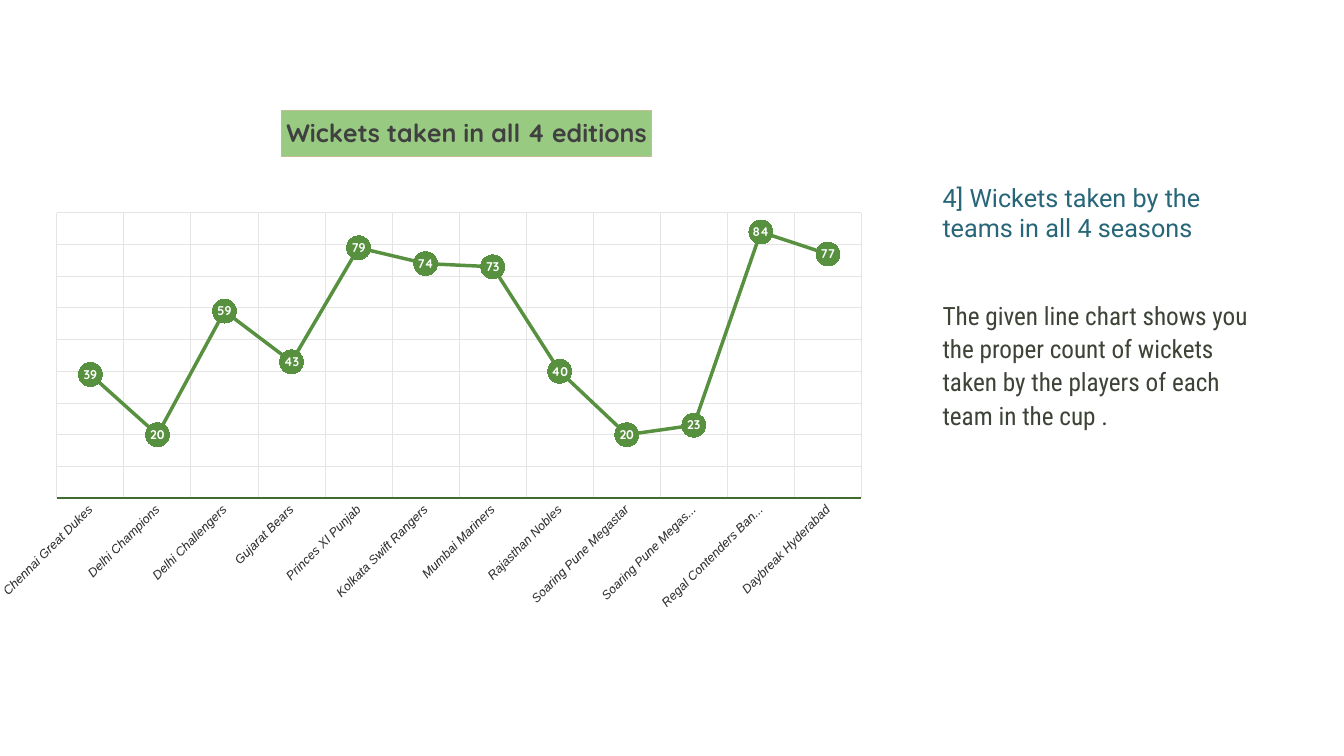
from lxml.etree import SubElement
from pptx import Presentation
from pptx.chart.data import CategoryChartData
from pptx.dml.color import RGBColor
from pptx.enum.chart import XL_CHART_TYPE as ChartType
from pptx.enum.chart import XL_LABEL_POSITION as LabelPosition
from pptx.enum.chart import XL_MARKER_STYLE as MarkerStyle
from pptx.enum.chart import XL_TICK_MARK as TickMark
from pptx.enum.text import MSO_ANCHOR as Anchor
from pptx.oxml.ns import qn
from pptx.util import Inches, Pt

WHITE = RGBColor(0xFF, 0xFF, 0xFF)
BLACK = RGBColor(0x00, 0x00, 0x00)
CHARCOAL = RGBColor(0x40, 0x40, 0x40)
OLIVE = RGBColor(0x3D, 0x43, 0x37)
TEAL = RGBColor(0x27, 0x66, 0x78)
GREEN = RGBColor(0x57, 0x90, 0x3F)
DARK_GREEN = RGBColor(0x41, 0x6C, 0x2F)
LIGHT_GREEN = RGBColor(0x98, 0xCA, 0x82)
BORDER = RGBColor(0xC4, 0xBC, 0x94)
GRID = RGBColor(0xE4, 0xE4, 0xE4)

WICKETS = {
    "Chennai Great Dukes": 39,
    "Delhi Champions": 20,
    "Delhi Challengers": 59,
    "Gujarat Bears": 43,
    "Princes XI Punjab": 79,
    "Kolkata Swift Rangers": 74,
    "Mumbai Mariners": 73,
    "Rajasthan Nobles": 40,
    "Soaring Pune Megastar": 20,
    "Soaring Pune Megastars": 23,
    "Regal Contenders Bangalore": 84,
    "Daybreak Hyderabad": 77,
}


class SlideBuilder:
    heading_font = "Roboto"
    body_font = "Roboto Condensed"
    chart_font = "Quicksand"
    axis_font = "Arial"

    def __init__(self, presentation):
        self.slide = presentation.slides.add_slide(presentation.slide_layouts[6])

    def apply(self, target, values):
        for name, value in values.items():
            setattr(target, name, value)

    def style_font(self, font, name, size, color, **extra):
        self.apply(font, {"name": name, "size": Pt(size), **extra})
        font.color.rgb = color

    def style_line(self, line, color, width):
        line.color.rgb = color
        line.width = Pt(width)

    def place(self, parent, index, **values):
        for old_layout in parent.findall(qn("c:layout")):
            parent.remove(old_layout)
        layout = SubElement(parent, qn("c:layout"))
        parent.insert(index, layout)
        manual = SubElement(layout, qn("c:manualLayout"))
        for name, value in values.items():
            SubElement(manual, qn(f"c:{name}")).set("val", str(value))

    def text(self, content, box, font, color, anchor, spacing):
        shape = self.slide.shapes.add_textbox(*map(Inches, box))
        frame = shape.text_frame
        self.apply(frame, {"word_wrap": True, "vertical_anchor": anchor})
        paragraph = frame.paragraphs[0]
        self.apply(paragraph, spacing)
        run = paragraph.add_run()
        run.text = content
        self.style_font(run.font, font, 18, color)

    def line_chart(self, title, values, box):
        data = CategoryChartData()
        data.categories = list(values)
        data.add_series("Series 1", list(values.values()))
        chart = self.slide.shapes.add_chart(
            ChartType.LINE_MARKERS, *map(Inches, box), data
        ).chart
        chart.has_legend = False
        self.style_font(chart.font, self.chart_font, 10, BLACK)
        self.place(
            chart.plots[0]._element.getparent(), 0, layoutTarget="inner",
            xMode="edge", yMode="edge", x=0.06, y=0.23, w=0.93, h=0.555,
        )
        self.chart_title(chart, title)
        self.axes(chart)
        self.series(chart.plots[0].series[0])

    def chart_title(self, chart, content):
        chart.has_title = True
        title = chart.chart_title
        run = title.text_frame.paragraphs[0].add_run()
        run.text = content
        self.style_font(run.font, self.chart_font, 18, CHARCOAL, bold=True)
        title.format.fill.solid()
        title.format.fill.fore_color.rgb = LIGHT_GREEN
        self.style_line(title.format.line, BORDER, 0.75)
        self.place(title._element, 1, xMode="edge", yMode="edge", x=0.32, y=0.03)

    def axes(self, chart):
        teams, wickets = chart.category_axis, chart.value_axis
        for axis in (teams, wickets):
            axis.has_major_gridlines = True
            self.style_line(axis.major_gridlines.format.line, GRID, 0.75)
        self.apply(teams, {"major_tick_mark": TickMark.NONE})
        self.style_line(teams.format.line, DARK_GREEN, 1.5)
        self.style_font(teams.tick_labels.font, self.axis_font, 9, CHARCOAL, italic=True)
        teams._element.find(qn("c:txPr")).find(qn("a:bodyPr")).set("rot", "-2700000")
        self.apply(wickets, {"minimum_scale": 0, "maximum_scale": 90,
                             "major_unit": 10, "visible": False})

    def series(self, series):
        series.smooth = False
        self.style_line(series.format.line, GREEN, 2.5)
        self.apply(series.marker, {"style": MarkerStyle.CIRCLE, "size": 17})
        series.marker.format.fill.solid()
        series.marker.format.fill.fore_color.rgb = GREEN
        series.marker.format.line.color.rgb = GREEN
        labels = series.data_labels
        self.apply(labels, {"show_value": True, "position": LabelPosition.CENTER})
        self.style_font(labels.font, self.chart_font, 9, WHITE, bold=True)


def main():
    presentation = Presentation()
    presentation.slide_width = Inches(13.33)
    presentation.slide_height = Inches(7.5)
    builder = SlideBuilder(presentation)
    builder.text(
        "4] Wickets taken by the teams in all 4 seasons",
        (9.25, 0.66, 3.46, 1.8), builder.heading_font, TEAL, Anchor.BOTTOM, {},
    )
    builder.text(
        "The given line chart shows you the proper count of wickets "
        "taken by the players of each team in the cup .",
        (9.25, 2.9, 3.46, 3.6), builder.body_font, OLIVE, Anchor.TOP,
        {"line_spacing": 1.1, "space_before": Pt(8)},
    )
    builder.line_chart("Wickets taken in all 4 editions", WICKETS, (0, 0.94, 8.63, 5.11))
    presentation.save("out.pptx")


if __name__ == "__main__":
    main()
